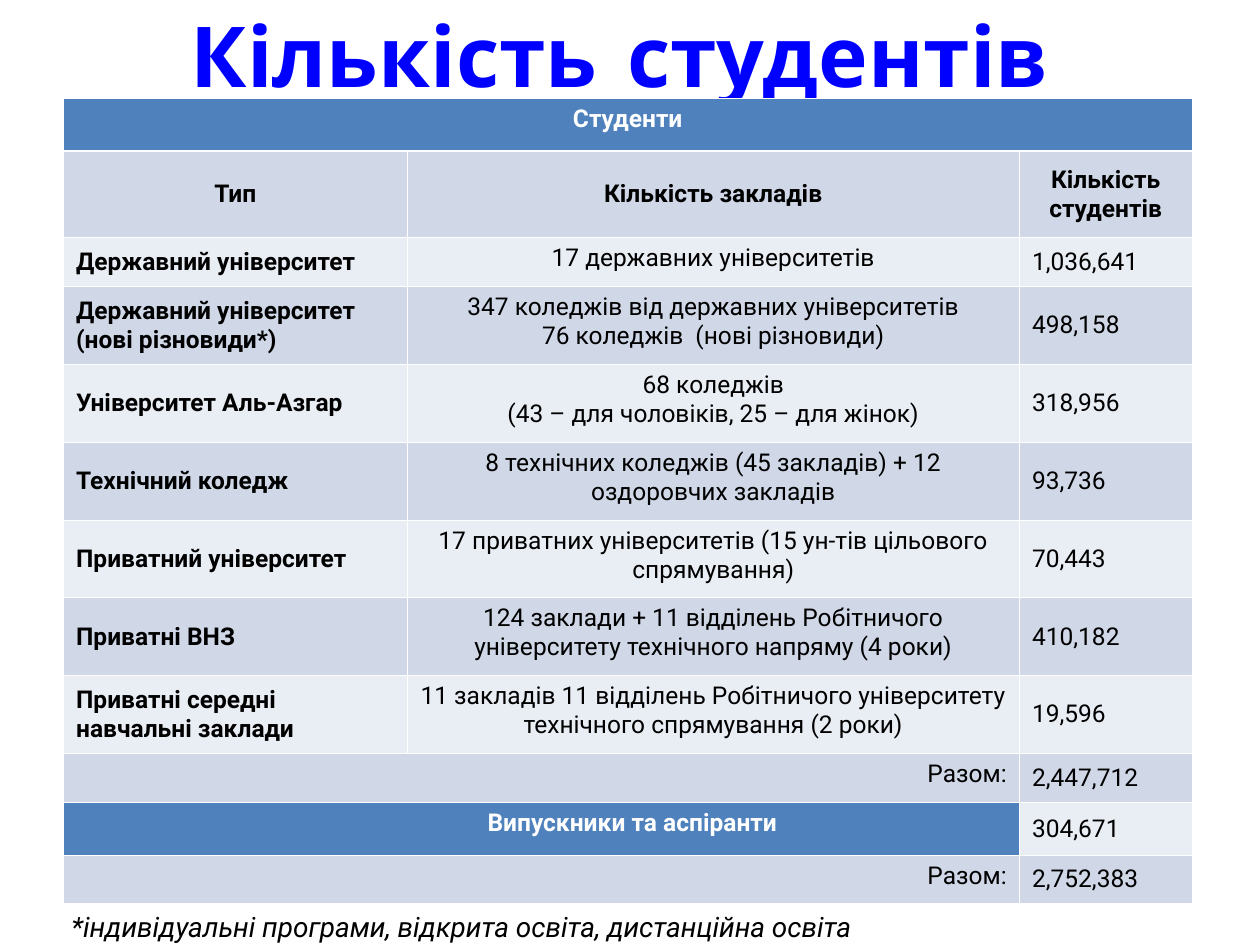
from lxml.etree import SubElement as Sub
from pptx import Presentation
from pptx.dml.color import RGBColor
from pptx.enum.text import MSO_ANCHOR as Anchor, PP_ALIGN as Align
from pptx.oxml.ns import qn
from pptx.util import Cm, Pt

BLUE = RGBColor(0x00, 0x00, 0xFF)
HEAD = RGBColor(0x4F, 0x81, 0xBD)
DARK = RGBColor(0xD0, 0xD8, 0xE8)
LIGHT = RGBColor(0xE9, 0xED, 0xF4)
WHITE = RGBColor(0xFF, 0xFF, 0xFF)
BLACK = RGBColor(0x00, 0x00, 0x00)

THIN, THICK = Pt(0.45), Pt(1.47)
SHIFT = Cm(3.67)  # moves the graduates label right of the cell centre

COLS = [6.93, 12.34, 3.48]
HEADS = ["Тип", "Кількість закладів", "Кількість студентів"]
TYPES = [
    ("Державний університет", "17 державних університетів", "1,036,641"),
    ("Державний університет (нові різновиди*)",
     "347 коледжів від державних університетів\n76 коледжів  (нові різновиди)",
     "498,158"),
    ("Університет Аль-Азгар",
     "68 коледжів\n(43 – для чоловіків, 25 – для жінок)", "318,956"),
    ("Технічний коледж",
     "8 технічних коледжів (45 закладів) + 12 оздоровчих закладів", "93,736"),
    ("Приватний університет",
     "17 приватних університетів (15 ун-тів цільового спрямування)", "70,443"),
    ("Приватні ВНЗ",
     "124 заклади + 11 відділень Робітничого університету "
     "технічного напряму (4 роки)", "410,182"),
    ("Приватні середні навчальні заклади",
     "11 закладів 11 відділень Робітничого університету "
     "технічного спрямування (2 роки)", "19,596"),
]
SUMS = [("Разом:", "2,447,712"),
        ("Випускники та аспіранти", "304,671"),
        ("Разом:", "2,752,383")]
ROWS = [1.07, 1.74, 0.98] + [1.57] * 6 + [0.98, 1.07, 0.98]


def write(frame, text, size, color, align=Align.LEFT, font="Roboto",
          bold=False, italic=False):
    """Fill a text frame, one paragraph for each line of text."""
    for i, line in enumerate(text.split("\n")):
        para = frame.add_paragraph() if i else frame.paragraphs[0]
        para.alignment = align
        run = para.add_run()
        run.text = line
        run.font.name = font
        run.font.size = Pt(size)
        run.font.bold = bold
        run.font.italic = italic
        run.font.color.rgb = color


def add_text(slide, box, text, size, color, inset=0.25, **style):
    frame = slide.shapes.add_textbox(*map(Cm, box)).text_frame
    frame.word_wrap = True
    frame.margin_left = frame.margin_right = Cm(inset)
    frame.vertical_anchor = Anchor.MIDDLE
    write(frame, text, size, color, **style)


def edge(cell, row):
    """Draw white borders, with a thick line below the top row."""
    props = cell._tc.get_or_add_tcPr()
    wide = {"lnB": row == 0, "lnT": row == 1}
    for side in ("lnL", "lnR", "lnT", "lnB"):
        width = THICK if wide.get(side) else THIN
        line = Sub(props, qn(f"a:{side}"), w=str(width))
        Sub(Sub(line, qn("a:solidFill")), qn("a:srgbClr"), val=str(WHITE))


def fill_cell(cell, text, fill, color=BLACK, align=Align.LEFT, bold=False,
              anchor=Anchor.MIDDLE):
    cell.fill.solid()
    cell.fill.fore_color.rgb = fill
    cell.vertical_anchor = anchor
    write(cell.text_frame, text, 14, color, align, bold=bold)


def add_grid(slide):
    """Add the empty table with its sizes and borders."""
    box = map(Cm, (1.28, 1.98, sum(COLS), sum(ROWS)))
    grid = slide.shapes.add_table(len(ROWS), len(COLS), *box).table
    for col, width in zip(grid.columns, COLS):
        col.width = Cm(width)
    for r, height in enumerate(ROWS):
        grid.rows[r].height = Cm(height)
        for c in range(len(COLS)):
            edge(grid.cell(r, c), r)
    return grid


def fill_grid(grid):
    top = grid.cell(0, 0)
    top.merge(grid.cell(0, 2))
    fill_cell(top, "Студенти", HEAD, WHITE, Align.CENTER, True, Anchor.TOP)
    for c, text in enumerate(HEADS):
        fill_cell(grid.cell(1, c), text, DARK, align=Align.CENTER, bold=True)
    for r, (kind, places, count) in enumerate(TYPES, 2):
        band = DARK if r % 2 else LIGHT
        fill_cell(grid.cell(r, 0), kind, band, bold=True)
        fill_cell(grid.cell(r, 1), places, band, align=Align.CENTER,
                  anchor=Anchor.TOP)
        fill_cell(grid.cell(r, 2), count, band)
    for r, (label, count) in enumerate(SUMS, 2 + len(TYPES)):
        band = DARK if r % 2 else LIGHT
        cell = grid.cell(r, 0)
        cell.merge(grid.cell(r, 1))
        if label == "Разом:":
            fill_cell(cell, label, band, align=Align.RIGHT, anchor=Anchor.TOP)
        else:
            fill_cell(cell, label, HEAD, WHITE, Align.CENTER, True, Anchor.TOP)
            cell.margin_left = Cm(0.25) + SHIFT
        fill_cell(grid.cell(r, 2), count, band)


def main():
    deck = Presentation()
    deck.slide_width, deck.slide_height = Cm(25.4), Cm(19.05)
    slide = deck.slides.add_slide(deck.slide_layouts[6])
    add_text(slide, (0.79, 0, 23.42, 2.18), "Кількість студентів", 48, BLUE,
             inset=0, align=Align.CENTER, font="Comic Neue", bold=True)
    fill_grid(add_grid(slide))
    add_text(slide, (1.19, 18.21, 17.86, 0.94),
             "*індивідуальні програми, відкрита освіта, дистанційна освіта",
             16, BLACK, italic=True)
    deck.save("out.pptx")


if __name__ == "__main__":
    main()
